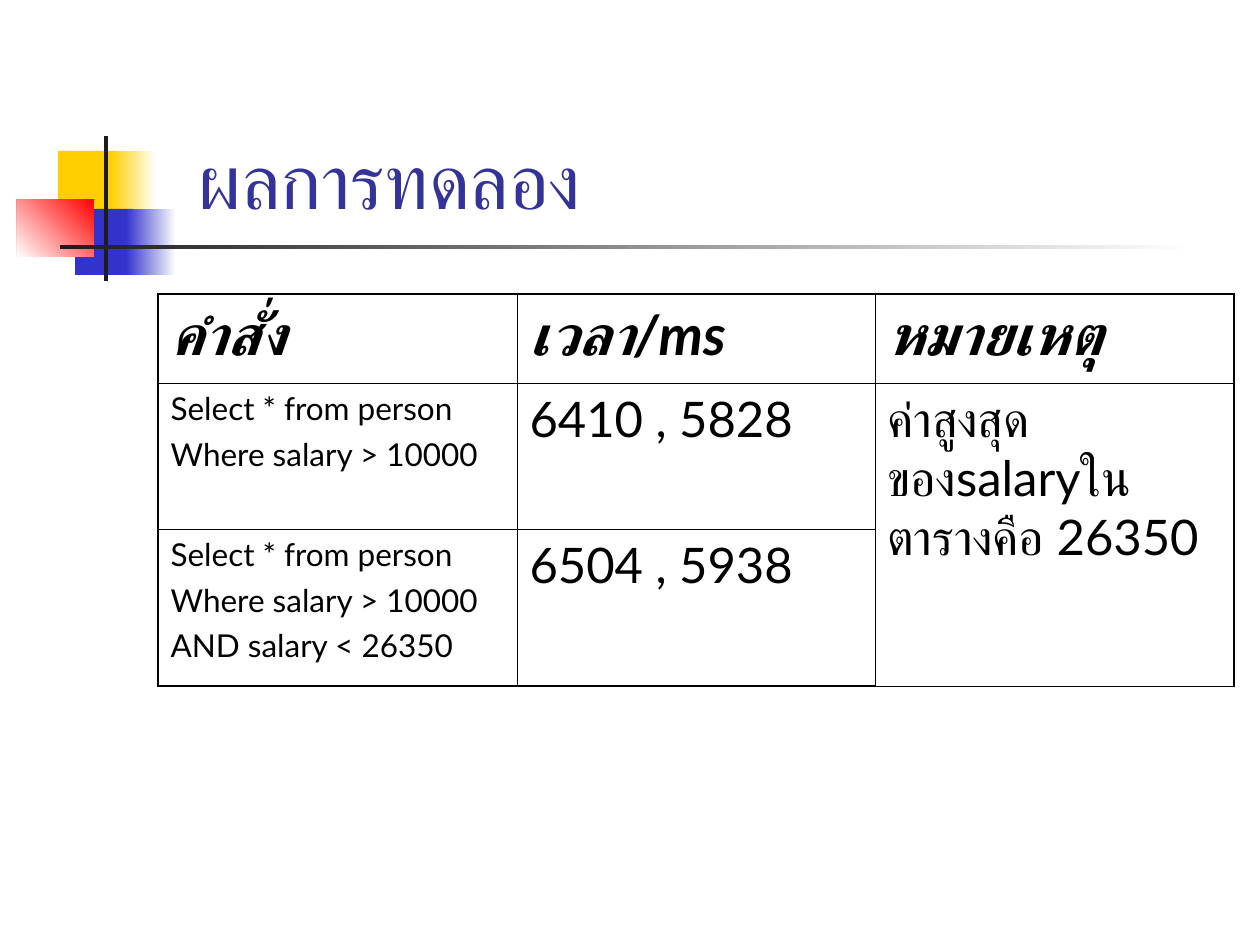
from lxml import etree
from pptx import Presentation
from pptx import util as u
from pptx.dml.color import RGBColor
from pptx.enum import shapes, text
from pptx.oxml.ns import qn

PX = u.Inches(1) / 126
FONT = "Lato"


def px(n):
    return u.Emu(round(n * PX))


def rgb(code):
    return RGBColor.from_string(code)


def add_run(para, words, size, color="000000", bold=False):
    run = para.add_run()
    run.text = words
    font = run.font
    font.name, font.size = FONT, u.Pt(size)
    font.bold = font.italic = bold
    font.color.rgb = rgb(color)
    # Thai letters take the complex-script face
    etree.SubElement(run._r.get_or_add_rPr(), qn("a:cs"), typeface=FONT)


def add_rect(slide, box, start, end=None, angle=180):
    rect = slide.shapes.add_shape(shapes.MSO_SHAPE.RECTANGLE, *map(px, box))
    rect.shadow.inherit = False
    rect.line.fill.background()
    if end is None:
        rect.fill.solid()
        rect.fill.fore_color.rgb = rgb(start)
        return
    rect.fill.gradient()
    rect.fill.gradient_angle = 360 - angle
    for stop, code in zip(rect.fill.gradient_stops, (start, end)):
        stop.color.rgb = rgb(code)


def add_motif(slide, left, top):
    """Overlapping squares with a crossing pair of bars."""
    parts = [
        ((41, 15, 60, 66), "FFCF01"),
        ((94, 15, 45, 66), "FFFFFF", "FFCF01"),
        ((58, 73, 58, 66), "3333CC"),
        ((109, 73, 50, 66), "FFFFFF", "3333CC"),
        ((0, 63, 77, 58), "FF0000", "FFFFFF", 135),
        ((87, 0, 4, 145), "1C1C1C"),
        ((43, 109, 1134, 4), "FFFFFF", "1C1C1C"),
    ]
    for (x, y, w, h), *look in parts:
        add_rect(slide, (left + x, top + y, w, h), *look)


def add_title(slide, box, words):
    frame = slide.shapes.add_textbox(*map(px, box)).text_frame
    frame.word_wrap = True
    frame.vertical_anchor = text.MSO_ANCHOR.BOTTOM
    add_run(frame.paragraphs[0], words, 44, "333399")


def set_edges(cell, widths):
    props = cell._tc.get_or_add_tcPr()
    for spot, (side, width) in enumerate(zip("LRTB", widths)):
        line = etree.Element(qn("a:ln" + side), w=str(u.Pt(width)))
        fill = etree.SubElement(line, qn("a:solidFill"))
        etree.SubElement(fill, qn("a:srgbClr"), val="000000")
        props.insert(spot, line)


def fill_cell(cell, lines, size, gap, bold):
    cell.text_frame.word_wrap = True
    for i, words in enumerate(lines):
        frame = cell.text_frame
        para = frame.add_paragraph() if i else frame.paragraphs[0]
        if i:
            para.space_before = u.Pt(gap)
        add_run(para, words, size, bold=bold)


def add_results(slide, left, top, cols, rows, data):
    frame = slide.shapes.add_table(len(rows), len(cols), px(left), px(top),
                                   px(sum(cols)), px(sum(rows)))
    table = frame.table
    table.first_row = table.horz_banding = False
    for col, width in zip(table.columns, cols):
        col.width = px(width)
    for row, height in zip(table.rows, rows):
        row.height = px(height)

    # Thick outer frame, thin inner rules
    last_r, last_c = len(rows) - 1, len(cols) - 1
    for r, line in enumerate(data):
        for c, lines in enumerate(line):
            cell = table.cell(r, c)
            cell.fill.background()
            outer = (c == 0, c == last_c, r == 0, r == last_r)
            set_edges(cell, [1.08 if edge else 0.45 for edge in outer])
            size = 32 if r == 0 else 18 if c == 0 else 28
            fill_cell(cell, lines, size, 4.5, r == 0)
    table.cell(1, last_c).merge(table.cell(last_r, last_c))


def main():
    deck = Presentation()
    deck.slide_width, deck.slide_height = px(1260), px(945)
    slide = deck.slides.add_slide(deck.slide_layouts[6])

    add_motif(slide, 17, 136)
    add_title(slide, (186, 29, 1074, 202), "ผลการทดลอง")

    query = ["Select * from person", "Where salary > 10000"]
    data = [
        [["คำสั่ง"], ["เวลา/ms"], ["หมายเหตุ"]],
        [query, ["6410 , 5828"], ["ค่าสูงสุดของsalaryในตารางคือ 26350"]],
        [query + ["AND salary < 26350"], ["6504 , 5938"], []],
    ]
    add_results(slide, 158, 294, (359, 358, 359), (89, 146, 157), data)
    deck.save("out.pptx")


if __name__ == "__main__":
    main()
